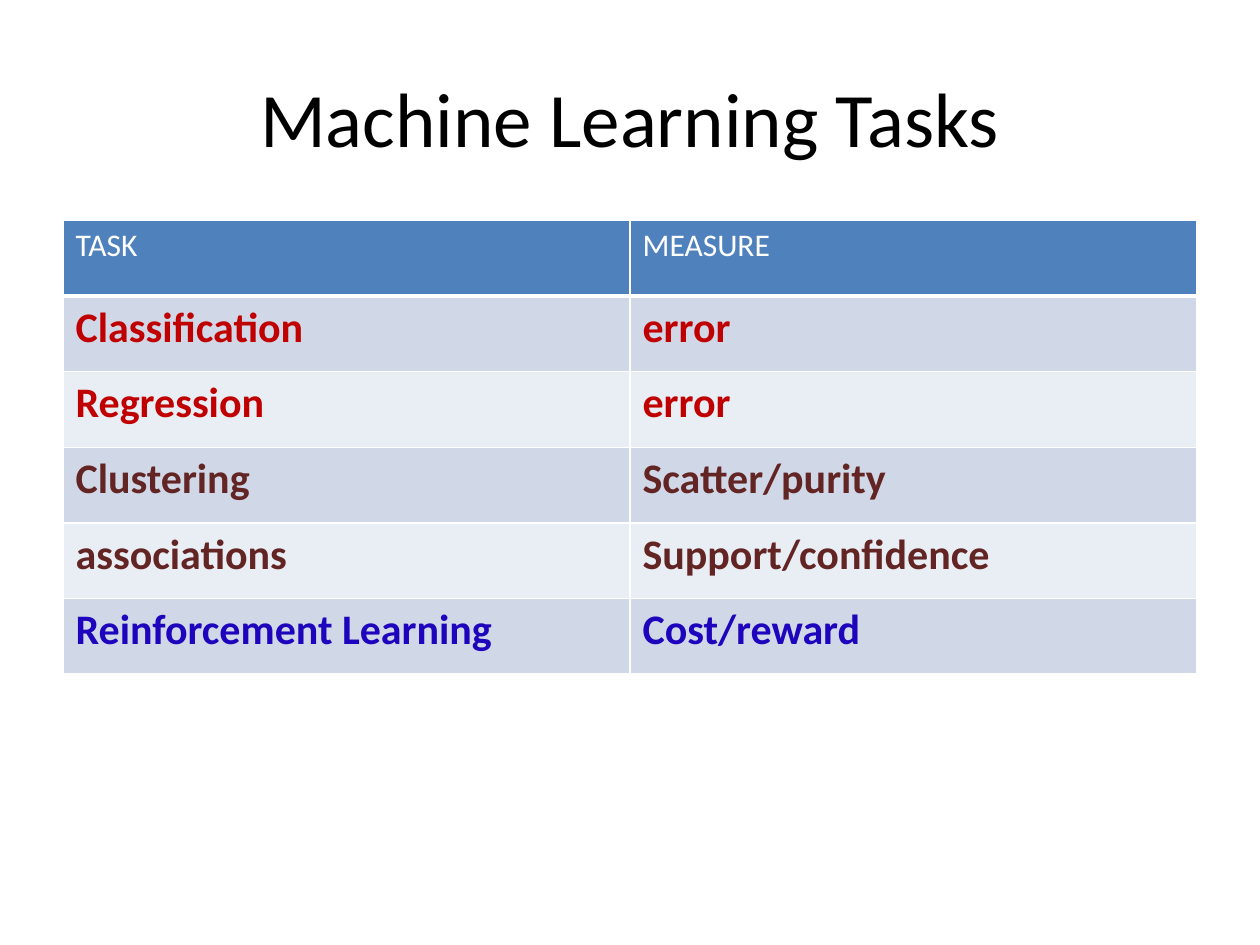
from dataclasses import dataclass

from lxml import etree
from pptx import Presentation, util as u
from pptx.dml.color import RGBColor
from pptx.enum import text
from pptx.oxml.ns import qn

COLORS = {
    "black": "000000", "white": "FFFFFF", "header": "4F81BD",
    "band_dark": "D0D8E8", "band_light": "E9EDF4",
    "red": "C00000", "brown": "632523", "blue": "1E04BC",
}
WIDTH, HEIGHT = u.Inches(10), u.Inches(7.5)
MARGIN = 0.05  # share of the slide's width
ROW_HEIGHT = 0.08  # share of the slide's height


@dataclass
class TaskRow:
    task: str
    measure: str
    color: str
    size: int = 24
    bold: bool = True


ROWS = [
    TaskRow("TASK", "MEASURE", "white", size=18, bold=False),
    TaskRow("Classification", "error", "red"),
    TaskRow("Regression", "error", "red"),
    TaskRow("Clustering", "Scatter/purity", "brown"),
    TaskRow("associations", "Support/confidence", "brown"),
    TaskRow("Reinforcement Learning", "Cost/reward", "blue"),
]


def write_text(frame, content: str, *, size: int, color: str, bold: bool = False,
               align=text.PP_ALIGN.LEFT) -> None:
    paragraph = frame.paragraphs[0]
    paragraph.alignment = align
    run = paragraph.add_run()
    run.text = content
    run.font.name = "Calibri"
    run.font.size = u.Pt(size)
    run.font.bold = bold
    run.font.color.rgb = RGBColor.from_string(COLORS[color])


def set_borders(cell, bottom: int = 1) -> None:
    properties = cell._tc.get_or_add_tcPr()
    widths = {"lnL": 1, "lnR": 1, "lnT": 1, "lnB": bottom}
    for index, (side, width) in enumerate(widths.items()):
        line = etree.Element(qn(f"a:{side}"), w=str(u.Pt(width)))
        fill = etree.SubElement(line, qn("a:solidFill"))
        etree.SubElement(fill, qn("a:srgbClr"), val=COLORS["white"])
        properties.insert(index, line)


def draw_table(slide, rows: list[TaskRow]) -> None:
    table = slide.shapes.add_table(
        len(rows), 2, int(WIDTH * MARGIN), u.Inches(1.75),
        int(WIDTH * (1 - 2 * MARGIN)), int(HEIGHT * ROW_HEIGHT * len(rows))).table
    for number, row in enumerate(rows):
        is_header = number == 0
        band = "header" if is_header else ("band_light", "band_dark")[number % 2]
        for column, content in enumerate((row.task, row.measure)):
            cell = table.cell(number, column)
            cell.fill.solid()
            cell.fill.fore_color.rgb = RGBColor.from_string(COLORS[band])
            set_borders(cell, bottom=3 if is_header else 1)
            write_text(cell.text_frame, content, size=row.size,
                       color=row.color, bold=row.bold)


def main() -> None:
    presentation = Presentation()
    presentation.slide_width, presentation.slide_height = WIDTH, HEIGHT
    slide = presentation.slides.add_slide(presentation.slide_layouts[5])

    # Title
    title = slide.shapes.title
    title.left, title.top = int(WIDTH * MARGIN), int(HEIGHT * 0.04)
    title.width, title.height = int(WIDTH * (1 - 2 * MARGIN)), u.Inches(1.25)
    title.text_frame.vertical_anchor = text.MSO_ANCHOR.MIDDLE
    write_text(title.text_frame, "Machine Learning Tasks", size=44,
               color="black", align=text.PP_ALIGN.CENTER)

    # Tasks and their measures
    draw_table(slide, ROWS)
    presentation.save("out.pptx")


if __name__ == "__main__":
    main()
